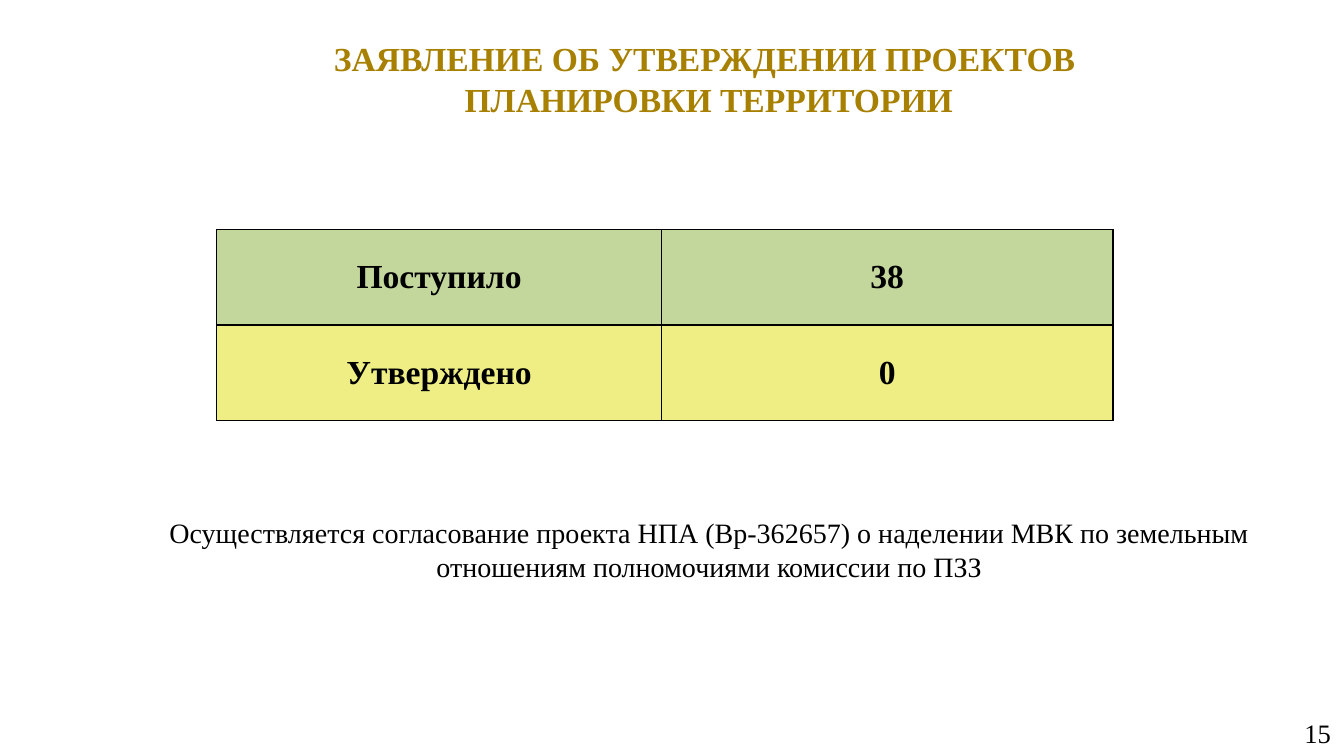
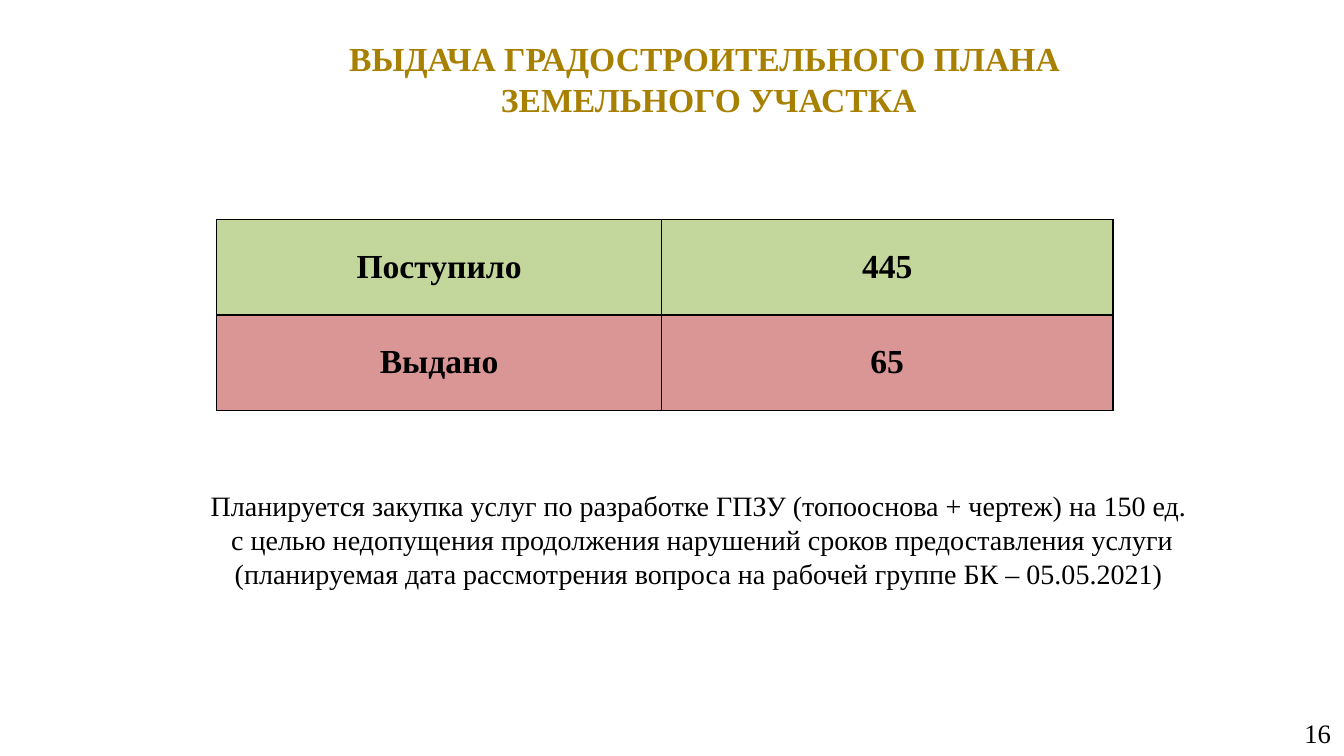
from lxml import etree
from pptx import Presentation, util as u
from pptx.dml.color import RGBColor
from pptx.enum import text
from pptx.oxml.ns import qn

WIDTH, HEIGHT = u.Inches(13.33), u.Inches(7.5)
FONT = "Times New Roman"
GOLD, BLACK = "A88000", "000000"
GREEN, YELLOW, RED = "C3D69B", "EEEE84", "D99694"
TITLE_AREA = (9.83, 3.73, 85.82, 13.33)
NUMBER_AREA = (76.67, 94.27, 23.33, 5.33)
TABLE_LEFT, COLUMN_SHARES, ROW_SHARE = 16.13, (33.08, 33.61), 12.6
SIDE_INSET, TEXT_INSET, CELL_INSET = u.Inches(0.13), u.Inches(0.07), u.Inches(0.05)
BORDER = u.Pt(0.96)
CENTER = text.PP_ALIGN.CENTER

SLIDES = [
    {
        "title": "ЗАЯВЛЕНИЕ ОБ УТВЕРЖДЕНИИ ПРОЕКТОВ \vПЛАНИРОВКИ ТЕРРИТОРИИ",
        "number": "15",
        "table_top": 30.4,
        "rows": [("Поступило", "38", GREEN), ("Утверждено", "0", YELLOW)],
        "note": "Осуществляется согласование проекта НПА (Вр-362657) о наделении МВК "
                "по земельным отношениям полномочиями комиссии по ПЗЗ",
        "note_area": (8.1, 66.4, 89.35, 12.53),
    },
    {
        "title": "ВЫДАЧА ГРАДОСТРОИТЕЛЬНОГО ПЛАНА \vЗЕМЕЛЬНОГО УЧАСТКА",
        "number": "16",
        "table_top": 29.07,
        "rows": [("Поступило", "445", GREEN), ("Выдано", "65", RED)],
        "note": "Планируется закупка услуг по разработке ГПЗУ (топооснова + чертеж) на 150 ед. \n"
                "с целью недопущения продолжения нарушений сроков предоставления услуги\v"
                "(планируемая дата рассмотрения вопроса на рабочей группе БК – 05.05.2021) ",
        "note_area": (7.58, 66.27, 89.35, 10.13),
    },
]


def color(value):
    return RGBColor.from_string(value)


def across(percent):
    return round(WIDTH * percent / 100)


def down(percent):
    return round(HEIGHT * percent / 100)


def write(frame, words, size, ink=BLACK, bold=False, align=CENTER):
    frame.text = words
    for paragraph in frame.paragraphs:
        paragraph.alignment = align
        font = paragraph.font
        font.name, font.size, font.bold = FONT, u.Pt(size), bold
        font.color.rgb = color(ink)


def add_text(slide, area, words, size, **style):
    left, top, width, height = area
    frame = slide.shapes.add_textbox(
        across(left), down(top), across(width), down(height)).text_frame
    frame.word_wrap = True
    frame.vertical_anchor = text.MSO_ANCHOR.MIDDLE
    frame.margin_left = frame.margin_right = SIDE_INSET
    frame.margin_top = frame.margin_bottom = TEXT_INSET
    write(frame, words, size, **style)


def add_borders(cell):
    properties = cell._tc.get_or_add_tcPr()
    for side in ("a:lnL", "a:lnR", "a:lnT", "a:lnB"):
        line = etree.SubElement(properties, qn(side), w=str(BORDER))
        fill = etree.SubElement(line, qn("a:solidFill"))
        etree.SubElement(fill, qn("a:srgbClr"), val=BLACK)


def fill_cell(cell, words, background):
    add_borders(cell)
    cell.fill.solid()
    cell.fill.fore_color.rgb = color(background)
    cell.vertical_anchor = text.MSO_ANCHOR.MIDDLE
    cell.margin_left = cell.margin_right = SIDE_INSET
    cell.margin_top = cell.margin_bottom = CELL_INSET
    write(cell.text_frame, words, 24, bold=True)


def add_counts(slide, top, rows):
    table = slide.shapes.add_table(
        len(rows), len(COLUMN_SHARES), across(TABLE_LEFT), down(top),
        across(sum(COLUMN_SHARES)), down(ROW_SHARE * len(rows))).table
    for column, share in zip(table.columns, COLUMN_SHARES):
        column.width = across(share)
    for row, (label, count, background) in zip(table.rows, rows):
        row.height = down(ROW_SHARE)
        for cell, words in zip(row.cells, (label, count)):
            fill_cell(cell, words, background)


def main():
    deck = Presentation()
    deck.slide_width, deck.slide_height = WIDTH, HEIGHT
    for content in SLIDES:
        slide = deck.slides.add_slide(deck.slide_layouts[6])
        add_text(slide, TITLE_AREA, content["title"], 24, ink=GOLD, bold=True)
        add_text(slide, NUMBER_AREA, content["number"], 19, align=text.PP_ALIGN.RIGHT)
        add_counts(slide, content["table_top"], content["rows"])
        add_text(slide, content["note_area"], content["note"], 20)
    deck.save("out.pptx")


if __name__ == "__main__":
    main()
